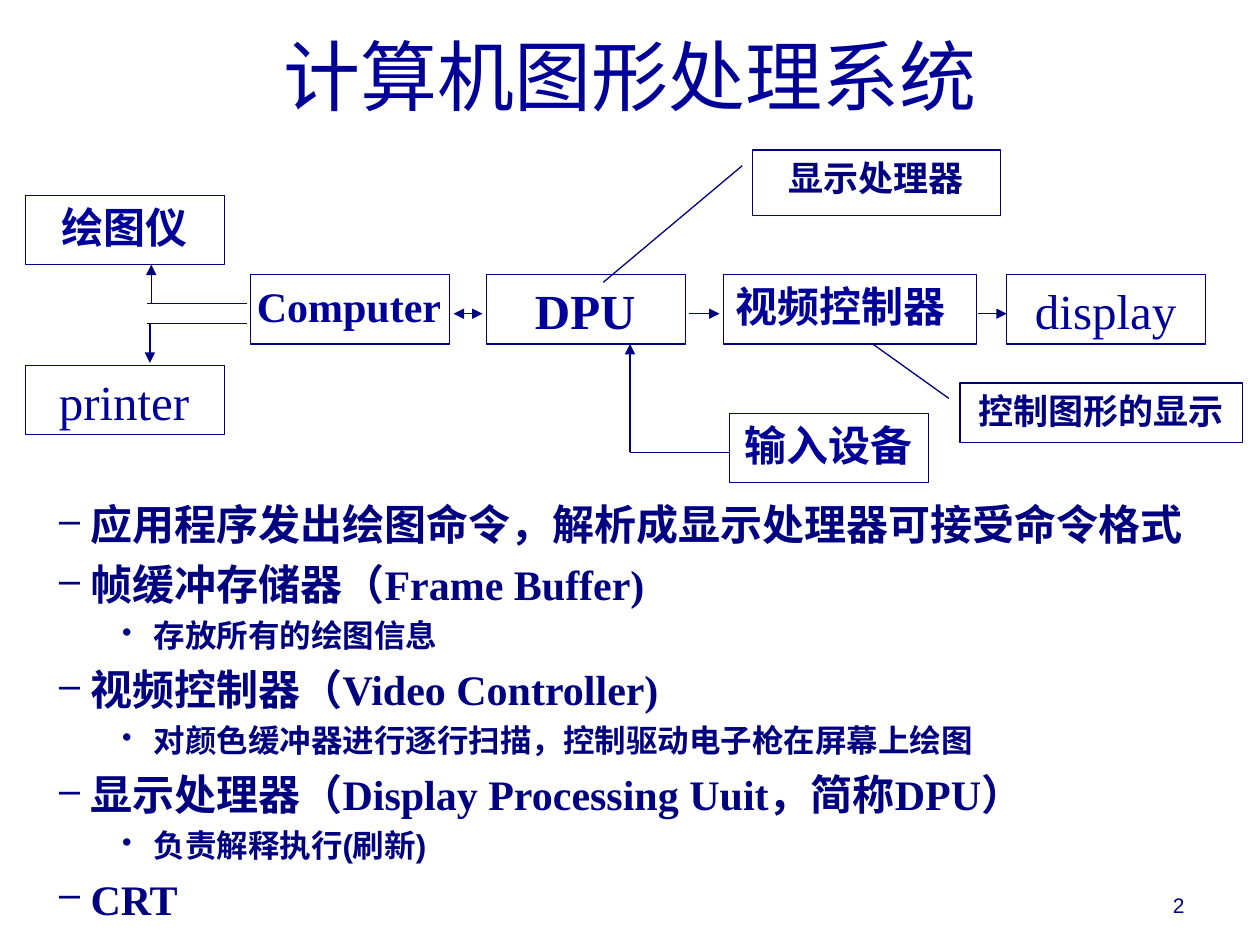
from lxml import etree
from pptx import Presentation
from pptx import util as u
from pptx.dml.color import RGBColor
from pptx.enum import shapes, text
from pptx.oxml.ns import qn

NAVY = RGBColor(0x00, 0x00, 0x80)
BLUE = RGBColor(0x00, 0x00, 0x99)
WHITE = RGBColor(0xFF, 0xFF, 0xFF)
SANS, SERIF = "Arial", "Times New Roman"
LEFT, CENTER, RIGHT = text.PP_ALIGN.LEFT, text.PP_ALIGN.CENTER, text.PP_ALIGN.RIGHT
TOP, MIDDLE, BOTTOM = text.MSO_ANCHOR.TOP, text.MSO_ANCHOR.MIDDLE, text.MSO_ANCHOR.BOTTOM
COLUMNS, ROWS = 100, 75


class Diagram:
    """Draws on one slide; lengths are columns and rows of a 100 by 75 grid."""

    def __init__(self, deck):
        self.slide = deck.slides.add_slide(deck.slide_layouts[6])
        self.column = deck.slide_width / COLUMNS
        self.row = deck.slide_height / ROWS

    def place(self, x, y, width, height):
        return (round(x * self.column), round(y * self.row),
                round(width * self.column), round(height * self.row))

    def style(self, paragraph, size, font=SERIF, color=BLUE, bold=False):
        for run in paragraph.runs:
            run.font.size = u.Pt(size)
            run.font.name = font
            run.font.bold = bold
            run.font.color.rgb = color

    def set_words(self, frame, words, size, align=CENTER, anchor=TOP, **look):
        frame.word_wrap = True
        frame.vertical_anchor = anchor
        frame.text = words
        frame.paragraphs[0].alignment = align
        self.style(frame.paragraphs[0], size, **look)

    def label(self, area, words, size, **look):
        box = self.slide.shapes.add_textbox(*self.place(*area))
        self.set_words(box.text_frame, words, size, **look)

    def outline(self, preset, area):
        shape = self.slide.shapes.add_shape(preset, *self.place(*area))
        shape.shadow.inherit = False
        shape.fill.background()
        shape.line.color.rgb = NAVY
        shape.line.width = u.Pt(0.75)
        return shape

    def node(self, x, y, words, size=24, bold=True, width=15.8,
             inset=1, label_width=13.7, align=CENTER):
        self.outline(shapes.MSO_SHAPE.RECTANGLE, (x, y, width, 5.5))
        self.label((x + inset, y, label_width, 5), words, size, bold=bold, align=align)

    def callout(self, area, words, pointer):
        shape = self.outline(shapes.MSO_SHAPE.LINE_CALLOUT_1, area)
        shape.fill.solid()
        shape.fill.fore_color.rgb = WHITE
        for index, share in enumerate(pointer):
            shape.adjustments[index] = share
        self.set_words(shape.text_frame, words, 20, color=NAVY, bold=True)

    def link(self, start, end, *arrow_ends):
        """Draw a line; arrow_ends names "headEnd" (start) and "tailEnd" (end)."""
        connector = self.slide.shapes.add_connector(
            shapes.MSO_CONNECTOR.STRAIGHT, *self.place(*start, *end))
        connector.line.color.rgb = NAVY
        connector.line.width = u.Pt(0.75)
        props = connector._element.spPr
        for arrow_end in arrow_ends:
            etree.SubElement(props.find(qn("a:ln")), qn(f"a:{arrow_end}"), type="triangle")
        etree.SubElement(props, qn("a:effectLst"))

    def bullet(self, paragraph, mark, indent):
        props = paragraph._p.get_or_add_pPr()
        props.set("marL", str(u.Inches(indent)))
        props.set("indent", str(u.Inches(-0.25)))
        color = etree.SubElement(props, qn("a:buClr"))
        etree.SubElement(color, qn("a:srgbClr"), val=str(NAVY))
        etree.SubElement(props, qn("a:buSzPct"), val="90000")
        etree.SubElement(props, qn("a:buChar"), char=mark)

    def bullet_list(self, area, items):
        frame = self.slide.shapes.add_textbox(*self.place(*area)).text_frame
        frame.word_wrap = True
        for number, (level, words, font) in enumerate(items):
            paragraph = frame.add_paragraph() if number else frame.paragraphs[0]
            paragraph.text = words
            paragraph.level = level
            size = 24 if level == 1 else 18
            self.bullet(paragraph, "–" if level == 1 else "•", level / 2)
            paragraph.space_before = u.Pt(round(size * 0.23, 1) if number else 0)
            self.style(paragraph, size, font, NAVY, True)


def main():
    deck = Presentation()
    deck.slide_width, deck.slide_height = u.Inches(10), u.Inches(7.5)
    system = Diagram(deck)

    system.label((71.7, 68.3, 23.3, 5), "2", 12, align=RIGHT, anchor=BOTTOM,
                 font=SANS, color=NAVY)
    system.label((7.5, -0.3, 85, 12.5), "计算机图形处理系统", 44, anchor=MIDDLE, font=SANS)

    pipeline = 21.8
    system.node(2, 15.5, "绘图仪")
    system.node(2, 29, "printer", 28, False)
    system.node(19.9, pipeline, "Computer", inset=-0.5, label_width=17, align=LEFT)
    system.node(38.6, pipeline, "DPU", 28)
    system.node(57.9, 32.8, "输入设备", inset=0.2, label_width=16.3, align=LEFT)
    system.node(57.4, pipeline, "视频控制器", width=20.1, inset=0, label_width=19.9, align=LEFT)
    system.node(79.9, pipeline, "display", 28, False)

    flow = 24.9
    for start, end, arrow_ends in (
        ((36, flow), (38.3, flow), ("headEnd", "tailEnd")),
        ((54.7, flow), (57.1, flow), ("tailEnd",)),
        ((77.6, flow), (79.9, flow), ("tailEnd",)),
        ((57.9, 35.9), (50, 35.9), ()),
        ((50, 35.9), (50, 27.3), ("tailEnd",)),
        ((19.6, 24.1), (11.7, 24.1), ()),
        ((12, 24.1), (12, 21), ("tailEnd",)),
        ((19.6, 25.7), (11.7, 25.7), ()),
        ((11.9, 25.7), (11.9, 28.8), ("tailEnd",)),
    ):
        system.link(start, end, *arrow_ends)

    system.callout((59.7, 11.9, 19.7, 5.2), "显示处理器", (0.24, -0.04, 2.02, -0.6))
    system.callout((76.2, 30.4, 22.4, 4.7), "控制图形的显示", (0.26, -0.04, -0.66, -0.31))

    system.bullet_list((1.2, 39.1, 96.1, 35.1), (
        (1, "应用程序发出绘图命令，解析成显示处理器可接受命令格式", SANS),
        (1, "帧缓冲存储器（Frame Buffer)", SERIF),
        (2, "存放所有的绘图信息", SANS),
        (1, "视频控制器（Video Controller)", SERIF),
        (2, "对颜色缓冲器进行逐行扫描，控制驱动电子枪在屏幕上绘图", SANS),
        (1, "显示处理器（Display Processing Uuit，简称DPU）", SERIF),
        (2, "负责解释执行(刷新)", SANS),
        (1, "CRT", SERIF),
    ))
    deck.save("out.pptx")


if __name__ == "__main__":
    main()
